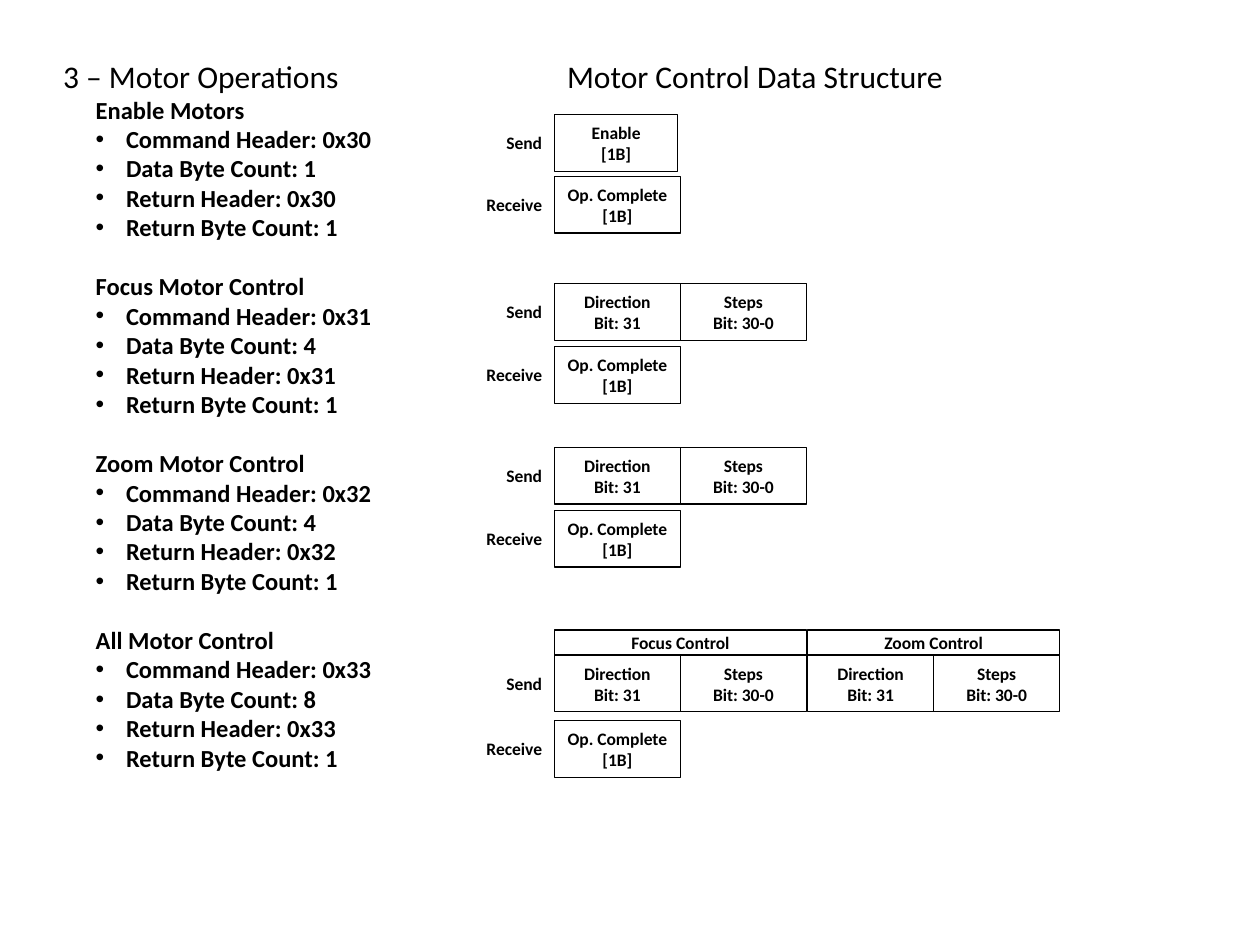
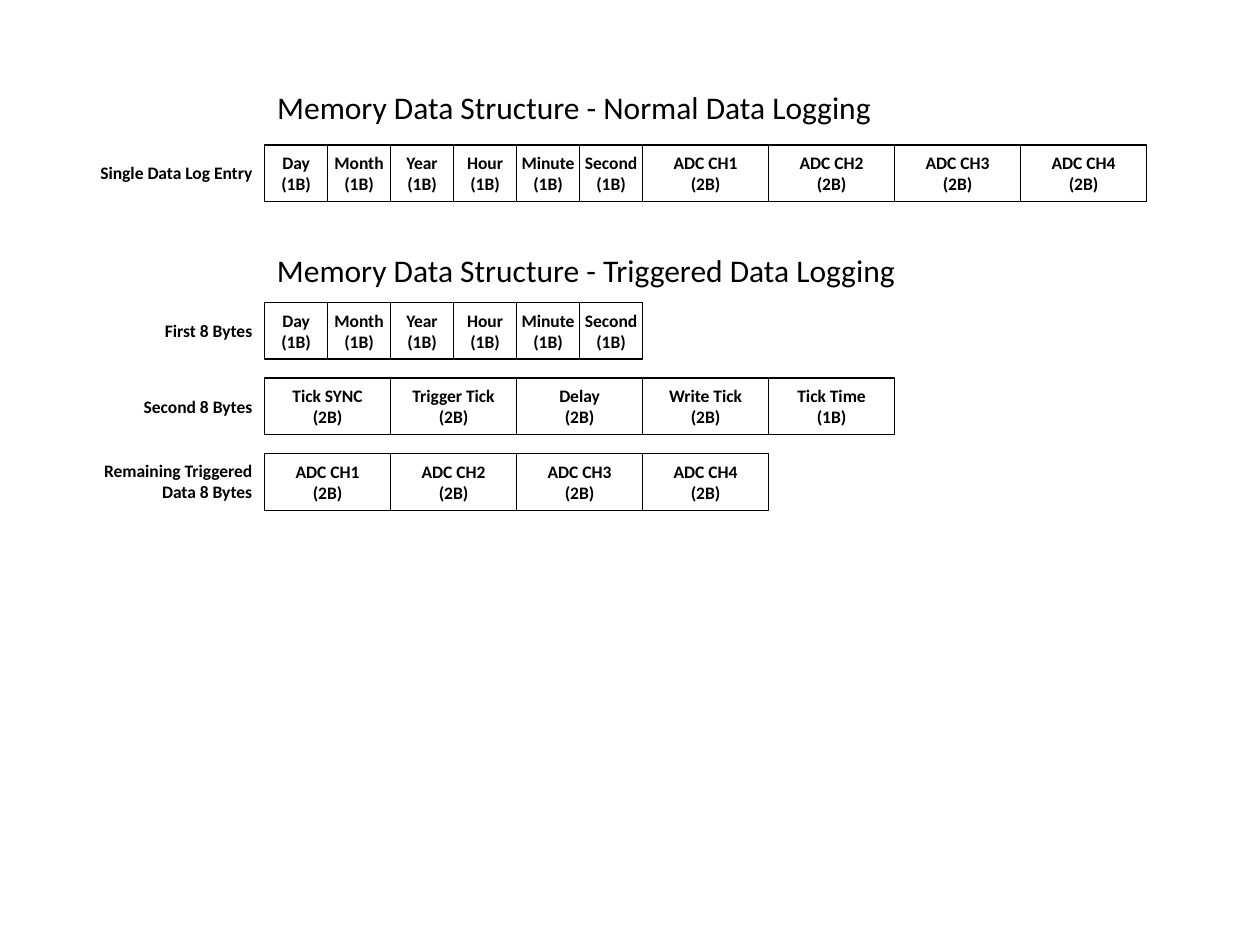
"""Build two slides on motor commands and memory data structures."""
import pptx
import pptx.dml.color
import pptx.enum.shapes
import pptx.enum.text
import pptx.oxml.ns
import pptx.util
from lxml import etree

Inches = pptx.util.Inches
Align = pptx.enum.text.PP_ALIGN
Anchor = pptx.enum.text.MSO_ANCHOR
AutoSize = pptx.enum.text.MSO_AUTO_SIZE
RECTANGLE = pptx.enum.shapes.MSO_SHAPE.RECTANGLE
INK = "000000"
FIELD_HEIGHT = 0.45


def paint(color, hex_code):
    color.rgb = pptx.dml.color.RGBColor.from_string(hex_code)


def write(shape, text, size=10, bold=True, align=Align.LEFT, anchor=Anchor.TOP,
          wrap=True, grow=True, inset_x=0.1, inset_y=0.05):
    frame = shape.text_frame
    frame.text = text
    frame.word_wrap = wrap
    frame.auto_size = AutoSize.SHAPE_TO_FIT_TEXT if grow else AutoSize.NONE
    frame.vertical_anchor = anchor
    frame.margin_left = frame.margin_right = Inches(inset_x)
    frame.margin_top = frame.margin_bottom = Inches(inset_y)
    for paragraph in frame.paragraphs:
        paragraph.alignment = align
        paragraph.space_before = pptx.util.Pt(0)
        font = paragraph.runs[0].font
        font.name = "Calibri"
        font.size = pptx.util.Pt(size)
        font.bold = bold
        paint(font.color, INK)


deck = pptx.Presentation()
deck.slide_width, deck.slide_height = Inches(10), Inches(7.5)
motor = deck.slides.add_slide(deck.slide_layouts[1])
memory = deck.slides.add_slide(deck.slide_layouts[5])

triggered_heading = memory.shapes.add_textbox(0, 0, 0, 0)
headings = [
    (motor.shapes.title, "Motor Control Data Structure", 4.4, 0.4, 3.34),
    (memory.shapes.title, "Memory Data Structure - Normal Data Logging", 2.1, 0.65, 4.97),
    (triggered_heading, "Memory Data Structure - Triggered Data Logging", 2.1, 1.94, 5.17),
]
for heading, text, left, top, width in headings:
    heading.left, heading.top = Inches(left), Inches(top)
    heading.width, heading.height = Inches(width), Inches(0.4)
    write(heading, text, size=18, bold=False, wrap=False)

commands = [
    ("Enable Motors", "0x30", 1),
    ("Focus Motor Control", "0x31", 4),
    ("Zoom Motor Control", "0x32", 4),
    ("All Motor Control", "0x33", 8),
]
operation_lines = ["3 – Motor Operations"]
for name, header, byte_count in commands:
    operation_lines += [name, f"Command Header: {header}", f"Data Byte Count: {byte_count}",
                        f"Return Header: {header}", "Return Byte Count: 1"]

operations = motor.placeholders[1]
operations.left, operations.top = Inches(0.4), Inches(0.4)
operations.width, operations.height = Inches(2.67), Inches(6.06)
write(operations, "\n".join(operation_lines), size=14, wrap=False)
for index, paragraph in enumerate(operations.text_frame.paragraphs):
    is_title = index == 0
    is_command = index % 5 == 1
    is_detail = not (is_title or is_command)
    if is_title:
        paragraph.runs[0].font.size = pptx.util.Pt(18)
        paragraph.runs[0].font.bold = False
    if is_command and index > 1:
        paragraph.space_before = pptx.util.Pt(17)
    properties = paragraph._p.get_or_add_pPr()
    properties.set("marL", str(Inches(0 if is_title else 0.5 if is_detail else 0.26)))
    properties.set("indent", str(Inches(-0.24 if is_detail else 0)))
    bullet = etree.SubElement(properties, pptx.oxml.ns.qn("a:buChar" if is_detail else "a:buNone"))
    if is_detail:
        bullet.set("char", "•")

steps = [("Direction\nBit: 31", 1), ("Steps\nBit: 30-0", 1)]
complete = [("Op. Complete\n[1B]", 1)]
timestamp = [(f"{unit}\n(1B)", 0.5) for unit in ("Day", "Month", "Year", "Hour", "Minute", "Second")]
channels = [(f"ADC CH{number}\n(2B)", 1) for number in range(1, 5)]
ticks = [(f"{name}\n(2B)", 1) for name in ("Tick SYNC", "Trigger Tick", "Delay", "Write Tick")]
ticks.append(("Tick Time\n(1B)", 1))

records = [
    (motor, "Send", 0.98, 4.4, 0.91, [("Enable\n[1B]", 0.98)]),
    (motor, "Receive", 0.98, 4.4, 1.4, complete),
    (motor, "Send", 0.98, 4.4, 2.25, steps),
    (motor, "Receive", 0.98, 4.4, 2.75, complete),
    (motor, "Send", 0.98, 4.4, 3.55, steps),
    (motor, "Receive", 0.98, 4.4, 4.05, complete),
    (motor, "Send", 0.98, 4.4, 5.2, steps),
    (motor, None, 0, 6.41, 5.2, steps),
    (motor, None, 0, 4.4, 5, [("Focus Control", 2)]),
    (motor, None, 0, 6.41, 5, [("Zoom Control", 2)]),
    (motor, "Receive", 0.98, 4.4, 5.72, complete),
    (memory, "Single Data Log Entry", 1.49, 2.1, 1.15, timestamp + channels),
    (memory, "First 8 Bytes", 1.4, 2.1, 2.4, timestamp),
    (memory, "Second 8 Bytes", 1.4, 2.1, 3, ticks),
    (memory, "Remaining Triggered Data 8 Bytes", 1.4, 2.1, 3.6, channels),
]
for slide, label, label_width, left, top, fields in records:
    if label:
        label_height = 0.44 if label.startswith("Remaining") else 0.27
        caption = slide.shapes.add_textbox(
            Inches(left - label_width), Inches(top + (FIELD_HEIGHT - label_height) / 2),
            Inches(label_width), Inches(label_height))
        write(caption, label, align=Align.RIGHT)
    for text, width in fields:
        two_lines = "\n" in text
        field = slide.shapes.add_shape(
            RECTANGLE, Inches(left), Inches(top), Inches(width),
            Inches(FIELD_HEIGHT if two_lines else 0.2))
        field.shadow.inherit = False
        field.fill.background()
        field.line.width = pptx.util.Pt(0.75)
        paint(field.line.color, INK)
        write(field, text, align=Align.CENTER, anchor=Anchor.MIDDLE, grow=False,
              inset_x=0, inset_y=0.05 if two_lines else 0)
        left += width

deck.save("out.pptx")
